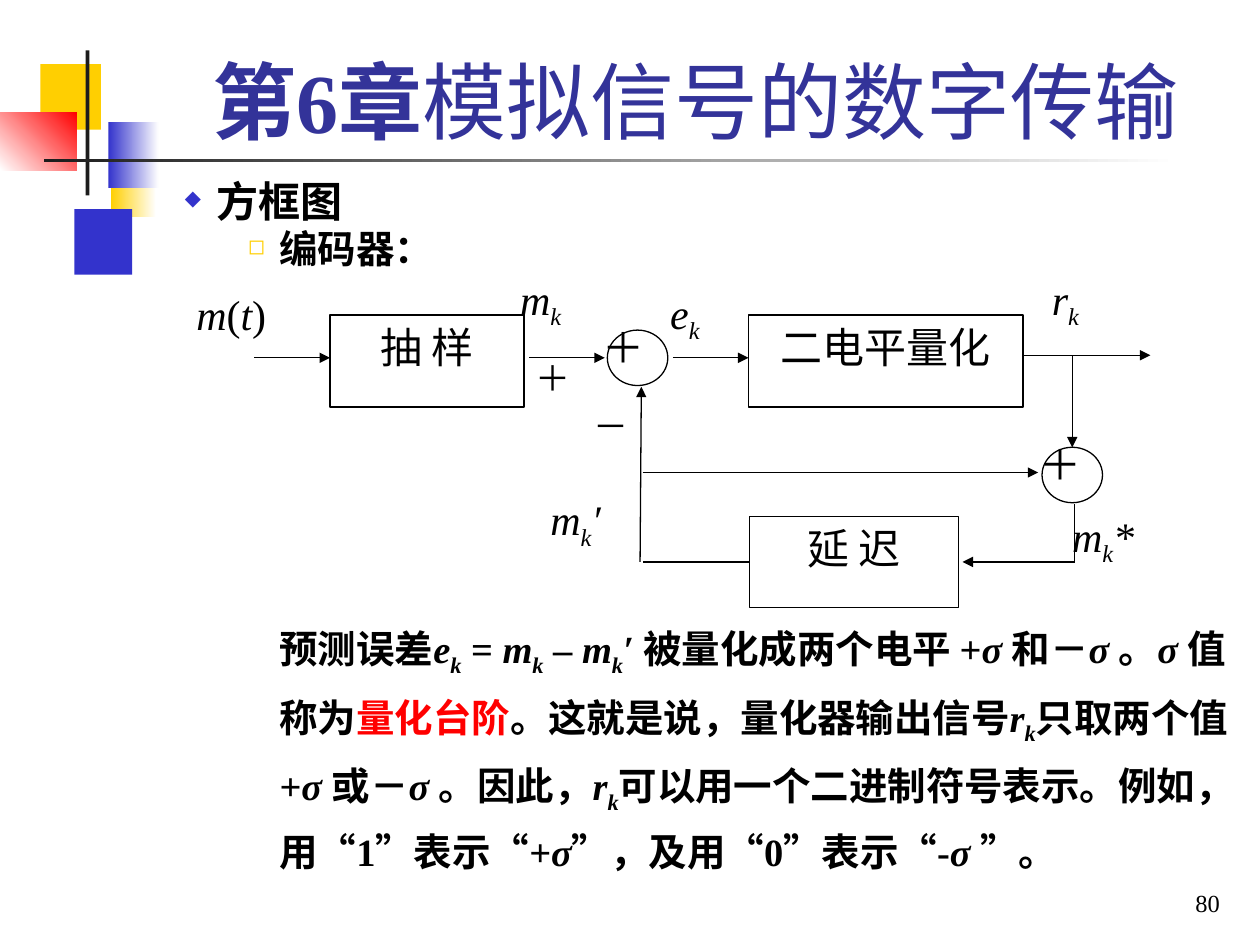
from lxml import etree
from pptx import Presentation
from pptx import util as u
from pptx.dml.color import RGBColor
from pptx.enum import shapes, text
from pptx.oxml.ns import qn

FONT = "Times New Roman"
BLACK, WHITE, DARK = "000000", "FFFFFF", "1C1C1C"
BLUE, NAVY, GOLD, RED = "3333CC", "333399", "FFCF01", "FF0000"
RECT, OVAL = shapes.MSO_SHAPE.RECTANGLE, shapes.MSO_SHAPE.OVAL
ALIGN = text.PP_ALIGN


def rgb(value):
    return RGBColor.from_string(value)


def inches(*values):
    return [u.Inches(v) for v in values]


def write(p, segments, size, color=BLACK, bold=False):
    """Add (text, flags) runs; flags: i italic, s italic subscript, r red."""
    for words, flags in segments:
        r = p.add_run()
        r.text = words
        f = r.font
        f.name, f.size, f.bold = FONT, u.Pt(size), bold
        f.italic = "i" in flags or "s" in flags
        f.color.rgb = rgb(RED if "r" in flags else color)
        if "s" in flags:
            r._r.get_or_add_rPr().set("baseline", "-25000")


def add_text(slide, box, segments, size, align=ALIGN.JUSTIFY, bold=False):
    tf = slide.shapes.add_textbox(*inches(*box)).text_frame
    tf.word_wrap = True
    p = tf.paragraphs[0]
    p.alignment = align
    write(p, segments, size, bold=bold)
    return tf


def add_shape(slide, kind, box, fill, line=None, label=None):
    sp = slide.shapes.add_shape(kind, *inches(*box))
    sp.shadow.inherit = False
    sp.fill.solid()
    sp.fill.fore_color.rgb = rgb(fill)
    if line:
        sp.line.color.rgb = rgb(line)
        sp.line.width = u.Pt(0.75)
    else:
        sp.line.fill.background()
    if label:
        sp.text_frame.vertical_anchor = text.MSO_ANCHOR.TOP
        p = sp.text_frame.paragraphs[0]
        p.alignment = ALIGN.CENTER
        write(p, [(label, "")], 24)
    return sp


def add_gradient(slide, box, start, end, angle=0):
    fill = add_shape(slide, RECT, box, start).fill
    fill.gradient()
    fill.gradient_angle = angle
    for stop, color in zip(fill.gradient_stops, (start, end)):
        stop.color.rgb = rgb(color)


def add_line(slide, start, end, arrow=True):
    c = slide.shapes.add_connector(
        shapes.MSO_CONNECTOR.STRAIGHT, *inches(*start, *end))
    c.line.color.rgb = rgb(BLACK)
    c.line.width = u.Pt(0.75)
    if arrow:
        etree.SubElement(c.line._get_or_add_ln(), qn("a:tailEnd"), type="triangle")
    etree.SubElement(c._element.spPr, qn("a:effectLst"))
    return c


def add_bullet(p, char, color, size, left):
    pPr = p._p.get_or_add_pPr()
    pPr.set("marL", str(u.Inches(left)))
    pPr.set("indent", str(u.Inches(-0.25)))
    clr = etree.SubElement(pPr, qn("a:buClr"))
    etree.SubElement(clr, qn("a:srgbClr"), val=color)
    etree.SubElement(pPr, qn("a:buSzPct"), val=str(size * 1000))
    etree.SubElement(pPr, qn("a:buChar"), char=char)


def draw_ornament(slide, x, y):
    """Coloured squares with the crossing bars, from the corner (x, y)."""
    add_gradient(slide, (x + 0.88, y + 0.8, 0.36, 0.52), GOLD, WHITE)
    add_shape(slide, RECT, (x + 0.59, y + 1.26, 0.46, 0.52), BLUE)
    add_shape(slide, RECT, (x + 0.32, y + 0.11, 0.48, 0.52), GOLD)
    add_gradient(slide, (x + 0.86, y + 0.57, 0.4, 0.52), BLUE, WHITE)
    add_gradient(slide, (x, y + 0.49, 0.61, 0.46), WHITE, RED, 45)
    add_shape(slide, RECT, (x + 0.68, y, 0.03, 1.15), DARK)
    add_gradient(slide, (x + 0.35, y + 0.86, 9, 0.03), DARK, WHITE)


def set_title(slide, box):
    sp = slide.shapes.title
    sp.left, sp.top, sp.width, sp.height = inches(*box)
    tf = sp.text_frame
    tf.word_wrap = True
    tf.vertical_anchor = text.MSO_ANCHOR.BOTTOM
    p = tf.paragraphs[0]
    p.alignment = ALIGN.CENTER
    write(p, [("第6章", "")], 48, NAVY, bold=True)
    write(p, [("模拟信号的数字传输", "")], 48, NAVY)


def draw_headings(slide, box):
    tf = add_text(slide, box, [("方框图", "")], 24, ALIGN.LEFT, bold=True)
    add_bullet(tf.paragraphs[0], "◆", BLUE, 50, 1.25)
    p = tf.add_paragraph()
    write(p, [("编码器：", "")], 22, bold=True)
    add_bullet(p, "◻", GOLD, 55, 1.75)


def draw_encoder(slide, x, y):
    """Block diagram of the encoder, from the corner (x, y)."""
    def at(left, top, *size):
        return (x + left, y + top, *size)

    # Blocks and adders
    add_shape(slide, RECT, at(1.16, 0.38, 1.54, 0.73), WHITE, BLACK, "抽 样")
    add_shape(slide, RECT, at(4.48, 0.38, 2.18, 0.73), WHITE, BLACK, "二电平量化")
    delay = add_shape(slide, RECT, at(4.49, 1.98, 1.66, 0.72), WHITE, BLACK, "延 迟")
    for left, top in ((3.36, 0.5), (6.81, 1.43)):
        add_shape(slide, OVAL, at(left, top, 0.48, 0.44), WHITE, BLACK)

    # Forward path
    for left in (0.56, 2.74, 3.88):
        add_line(slide, at(left, 0.72), at(left + 0.6, 0.72))
    add_line(slide, at(6.67, 0.7), at(7.67, 0.7))

    # Feedback path
    add_line(slide, at(7.05, 0.7), at(7.05, 1.43))
    add_line(slide, at(7.07, 1.88), at(7.07, 2.34), arrow=False)
    add_line(slide, at(7.07, 2.34), at(6.18, 2.34))
    back = add_line(slide, at(4.49, 2.34), at(3.64, 2.34), arrow=False)
    back.begin_connect(delay, 1)
    add_line(slide, at(3.62, 2.34), at(3.63, 0.95))
    add_line(slide, at(3.64, 1.63), at(6.78, 1.63))

    # Signal names
    k = ("k", "s")
    signals = [
        (0, 0.12, 1.1, [("m", "i"), ("(", ""), ("t", "i"), (")", "")]),
        (2.57, 0, 1.1, [("m", "i"), k]),
        (3.76, 0.11, 0.79, [("e", "i"), k]),
        (6.79, 0, 0.79, [("r", "i"), k]),
        (2.81, 1.75, 0.98, [("m", "i"), k, ("′", "i")]),
        (6.95, 1.88, 0.95, [("m", "i"), k, ("*", "i")]),
    ]
    for left, top, width, segments in signals:
        add_text(slide, at(left, top, width, 0.69), segments, 24)

    # Signs
    signs = [(3.22, 0.38, "＋", 24), (6.69, 1.31, "＋", 24),
             (2.69, 0.66, "＋", 20), (3.15, 1.04, "－", 20)]
    for left, top, sign, size in signs:
        add_text(slide, at(left, top, 0.76, 0.58), [(sign, "")], size)


def draw_explanation(slide, box):
    k, sigma = ("k", "s"), ("σ ", "i")
    segments = [
        ("预测误差", ""), ("e", "i"), k, (" = ", ""), ("m", "i"), k,
        (" – ", ""), ("m", "i"), k, ("′ ", "i"),
        ("被量化成两个电平 +", ""), sigma, ("和－", ""), sigma, ("。", ""),
        sigma, ("值称为", ""), ("量化台阶", "r"),
        ("。这就是说，量化器输出信号", ""), ("r", "i"), k,
        ("只取两个值+", ""), sigma, ("或－", ""), sigma, ("。因此，", ""),
        ("r", "i"), k, ("可以用一个二进制符号表示。例如，用“1”表示“+", ""),
        ("σ", "i"), ("”，及用“0”表示“-", ""), sigma, ("”。", ""),
    ]
    tf = add_text(slide, box, segments, 22, ALIGN.LEFT, bold=True)
    tf.paragraphs[0].line_spacing = 1.3


def main():
    prs = Presentation()
    prs.slide_width, prs.slide_height = inches(10, 7.5)
    slide = prs.slides.add_slide(prs.slide_layouts[5])
    draw_ornament(slide, 0, 0.4)
    set_title(slide, (1.26, 0.23, 8.52, 1.01))
    draw_headings(slide, (0.37, 1.34, 9.63, 0.95))
    draw_encoder(slide, 1.46, 2.12)
    draw_explanation(slide, (2.12, 4.79, 7.88, 2.25))
    # Page number
    tf = add_text(slide, (7.7, 6.83, 2.08, 0.5), [("80", "")], 14, ALIGN.RIGHT)
    tf.vertical_anchor = text.MSO_ANCHOR.BOTTOM
    prs.save("out.pptx")


if __name__ == "__main__":
    main()
